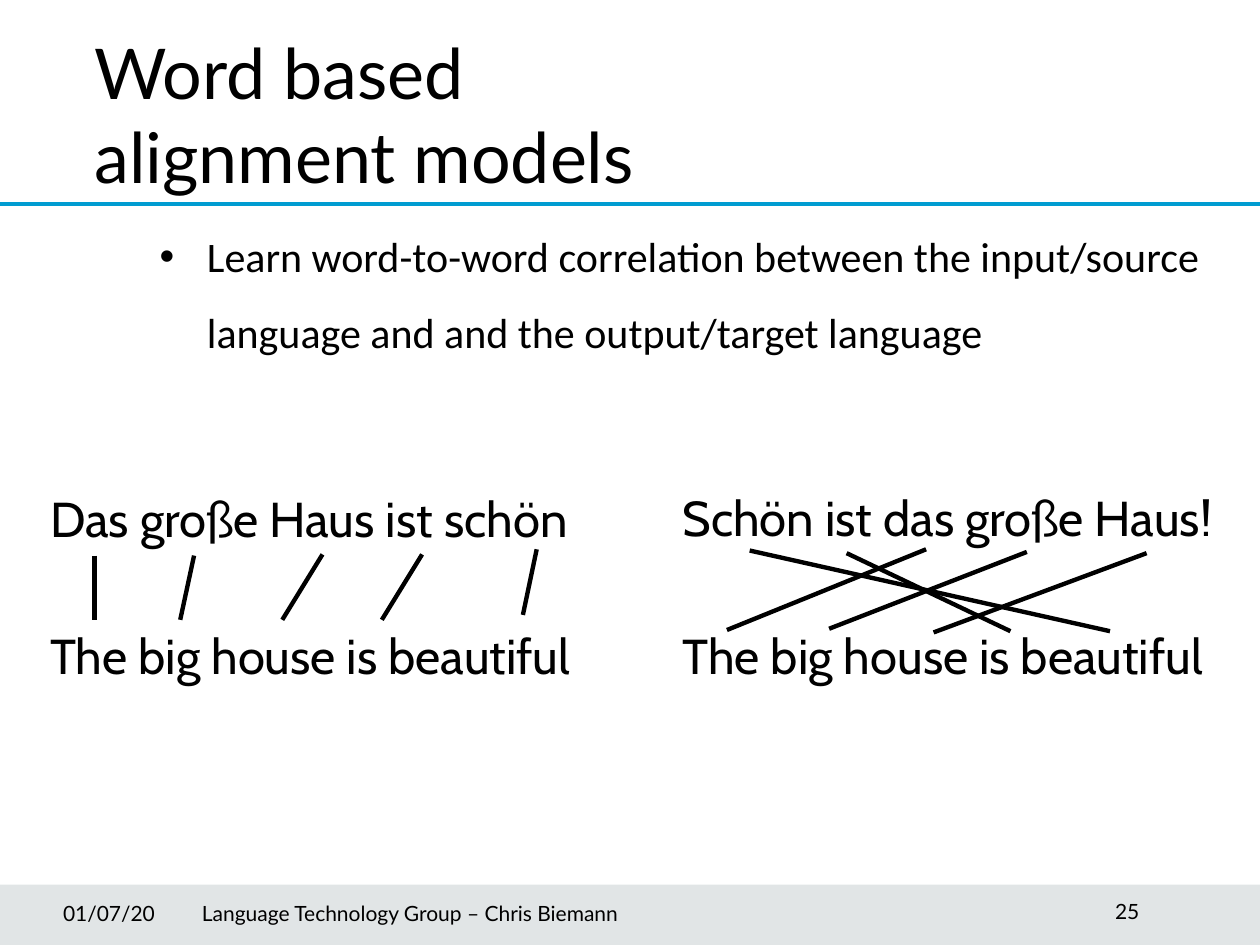
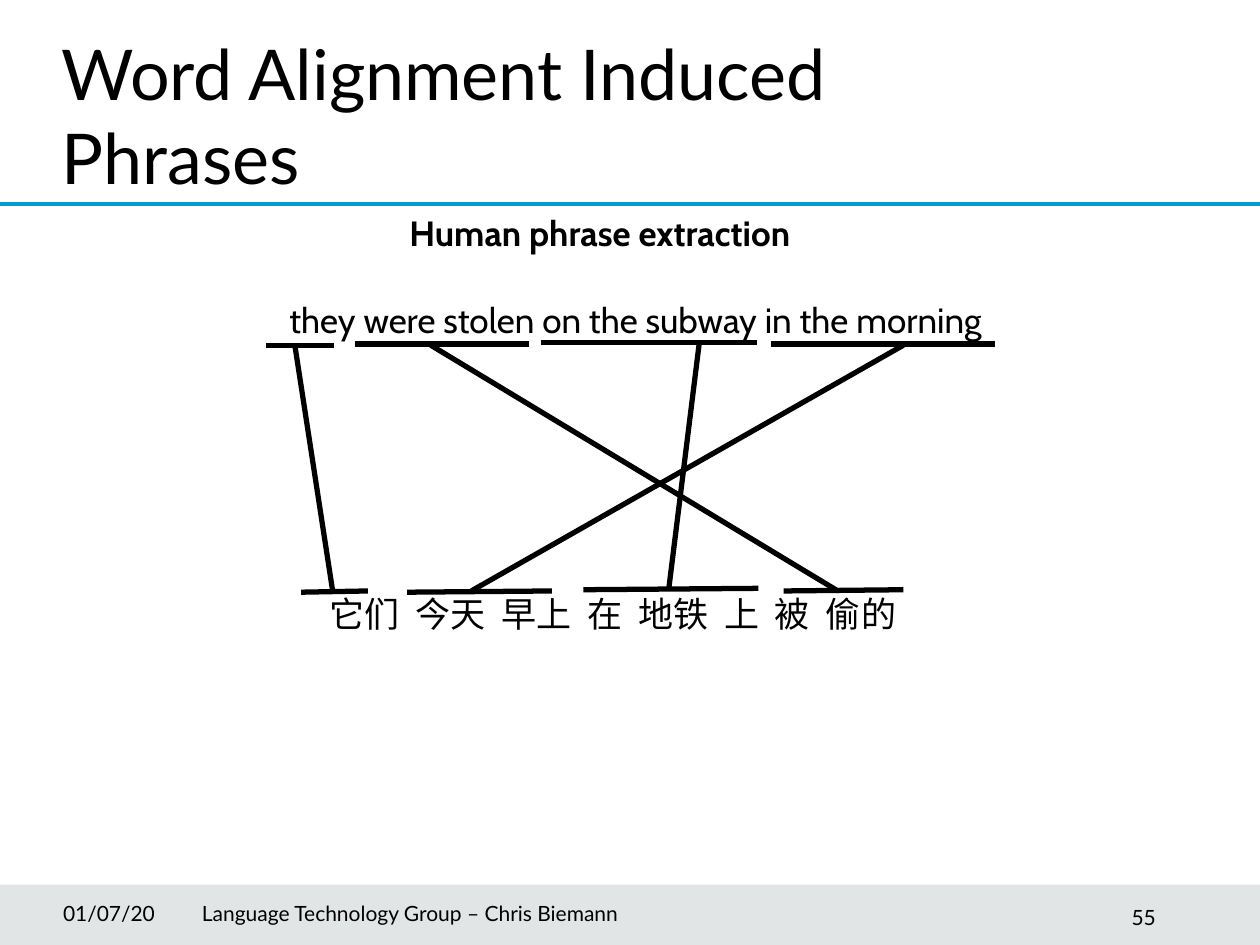
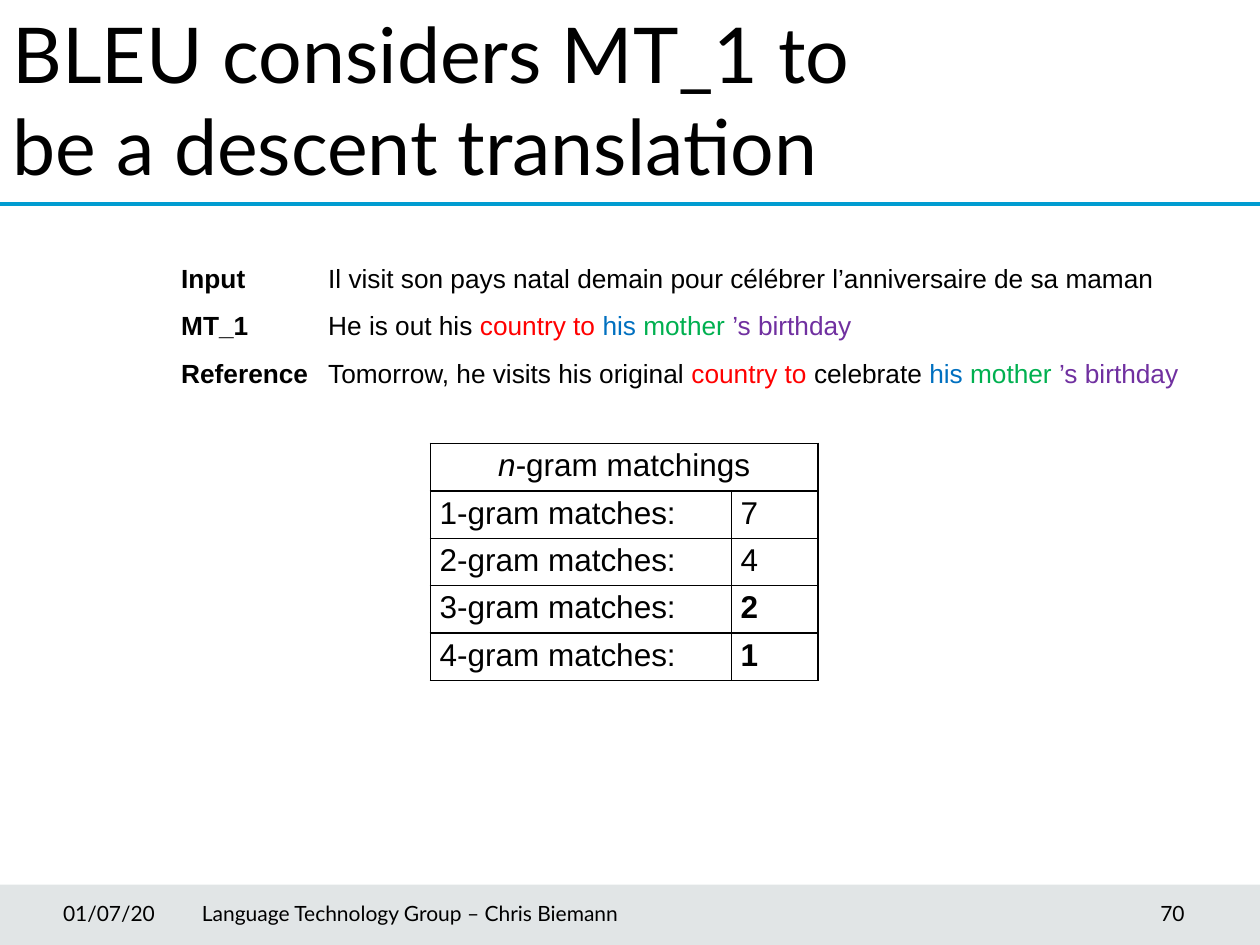
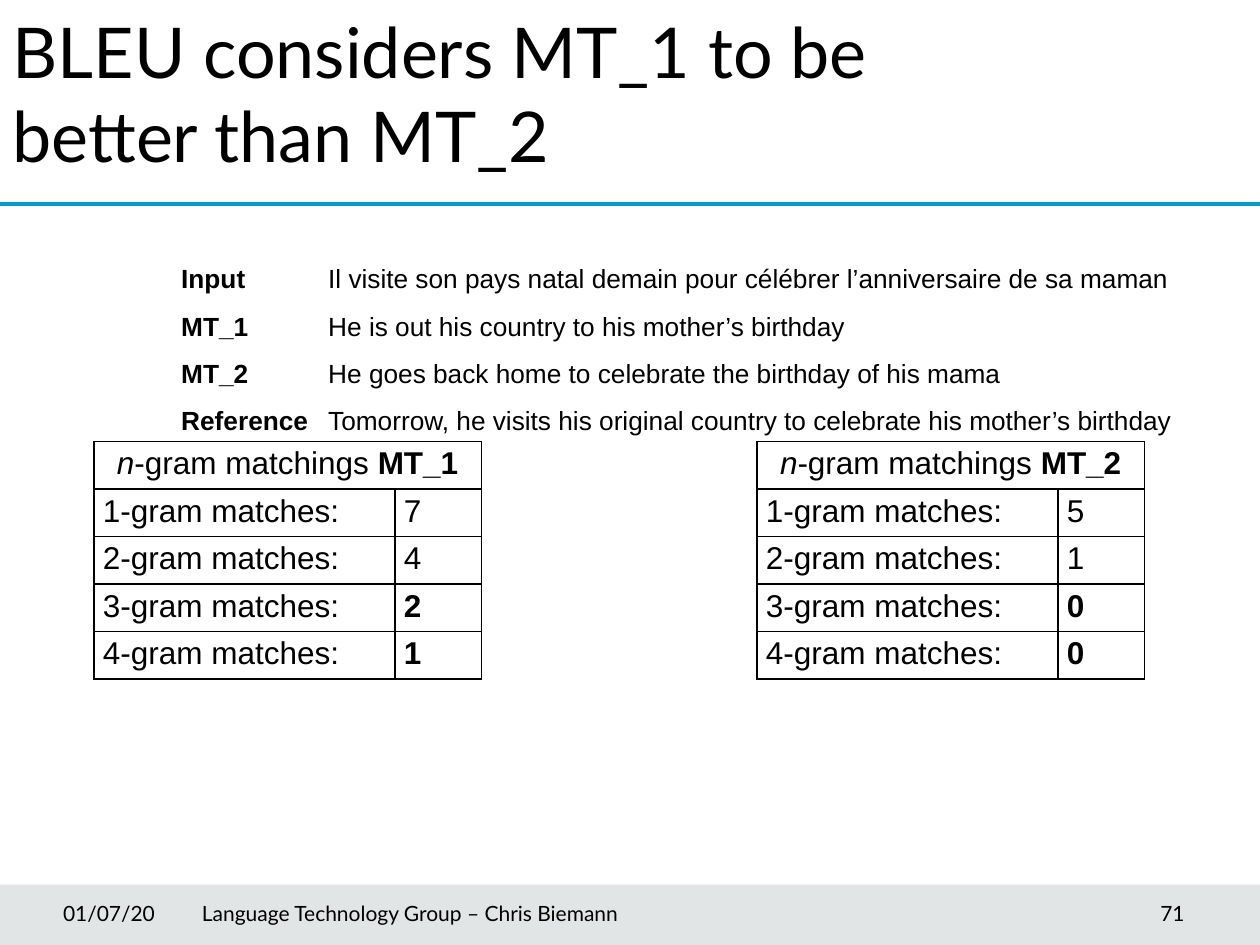
from itertools import accumulate
from typing import NamedTuple

from lxml import etree
from pptx import Presentation
from pptx.dml.color import RGBColor
from pptx.enum.shapes import MSO_CONNECTOR, MSO_SHAPE
from pptx.enum.text import MSO_ANCHOR, MSO_AUTO_SIZE, PP_ALIGN
from pptx.oxml.ns import qn
from pptx.util import Pt

HUES = {
    "ink": "000000", "paper": "FFFFFF", "band": "3B515B", "rule": "009CD1",
    "red": "FF0000", "blue": "0070C0", "green": "00B050", "plum": "7030A0",
}


class Box(NamedTuple):
    left: float
    top: float
    width: float
    height: float


class Line(NamedTuple):
    x1: float
    y1: float
    x2: float
    y2: float


class Run(NamedTuple):
    text: str
    hue: str = ""
    bold: bool = False
    slant: bool = False


class Style(NamedTuple):
    font: str
    size: float
    bold: bool = False
    align: PP_ALIGN = PP_ALIGN.LEFT


class Label(NamedTuple):
    text: str
    box: Box
    style: Style


class Grid(NamedTuple):
    left: float
    top: float
    head: list
    counts: tuple


class Page(NamedTuple):
    title: str
    box: Box
    size: float
    number: str
    spot: Box
    align: PP_ALIGN = PP_ALIGN.LEFT


FOOT = Style("Lato", 12)
WORDS = Style("Cabin", 28)
PHRASE = Style("Cabin", 20)
RIGHT_SPOT = Box(574.6, 507.6, 109.4, 28.8)

PAGES = [
    Page("Word based\valignment models", Box(46.8, 13, 613.4, 90), 40,
         "25", Box(637.2, 509.8, 36.7, 21.6)),
    Page("Word Alignment Induced Phrases", Box(28.1, 13.7, 541.4, 66.2), 40,
         "55", Box(646.6, 507.6, 31.7, 32.4)),
    Page("BLEU considers MT_1 to be a descent translation",
         Box(0, 0, 540, 52.6), 44, "70", RIGHT_SPOT, PP_ALIGN.RIGHT),
    Page("BLEU considers MT_1 to be better than MT_2",
         Box(0, 1.4, 509.8, 52.6), 40, "71", RIGHT_SPOT, PP_ALIGN.RIGHT),
]

PAIRS = [
    Label("Das große Haus ist schön", Box(21.6, 275.8, 332, 41), WORDS),
    Label("The big house is beautiful", Box(21.6, 354.2, 332, 41), WORDS),
    Label("Schön ist das große Haus!", Box(383, 275, 332, 41), WORDS),
    Label("The big house is beautiful", Box(383, 354.2, 332, 41), WORDS),
]
PAIR_LINKS = [
    Line(54, 317.5, 54, 354.2),
    Line(110.9, 317.5, 103, 354.2),
    Line(184.3, 316.8, 161.3, 354.2),
    Line(241.2, 316.8, 218.2, 354.2),
    Line(306.7, 313.9, 298.8, 351.4),
    Line(428.4, 314.6, 634.3, 360.7),
    Line(483.8, 316.1, 577.4, 360.7),
    Line(586.8, 315.4, 473.8, 359.3),
    Line(529.2, 313.9, 415.4, 360),
    Line(655.2, 316.1, 533.5, 361.4),
]
PHRASE_LINKS = [
    Line(168.5, 197.3, 190.1, 337.7),
    Line(516.2, 197.3, 269.3, 337.7),
    Line(399.6, 195.8, 382.3, 335.5),
    Line(246.2, 197.3, 478.8, 337.7),
]
PHRASE_BARS = [
    Line(151.9, 197.3, 190.8, 197.3),
    Line(172.1, 338.4, 210.2, 337.7),
    Line(232.6, 338.4, 315.4, 337.7),
    Line(333.4, 337, 433.4, 336.2),
    Line(447.8, 337.7, 516.2, 337),
    Line(203, 196.6, 256.3, 196.6),
    Line(249.8, 196.6, 302.4, 196.6),
    Line(308.9, 195.8, 432.7, 195.8),
    Line(440.6, 196.6, 468, 196.6),
    Line(465.8, 196.6, 501.8, 196.6),
    Line(491.8, 196.6, 568.8, 196.6),
]
HANZI = ["它们", "今天", "早上", "在", "地铁", "上", "被", "偷的"]

TAIL = [Run("his ", "blue"), Run("mother ", "green"), Run("’s birthday", "plum")]
FIRST = [
    [Run("Input\t", bold=True),
     Run("Il visit son pays natal demain pour célébrer l’anniversaire de sa maman")],
    [Run("MT_1\t", bold=True), Run("He is out his "), Run("country to ", "red"), *TAIL],
    [Run("Reference\t", bold=True), Run("Tomorrow, he visits his original "),
     Run("country to ", "red"), Run("celebrate "), *TAIL],
]
SECOND = [
    [Run(name + "\t", bold=True), Run(text)] for name, text in (
        ("Input", "Il visite son pays natal demain pour célébrer l’anniversaire de sa maman"),
        ("MT_1", "He is out his country to his mother’s birthday"),
        ("MT_2", "He goes back home to celebrate the birthday of his mama"),
        ("Reference", "Tomorrow, he visits his original country to celebrate his mother’s birthday"),
    )
]


def tint(hue: str) -> RGBColor:
    return RGBColor.from_string(HUES[hue])


def place(box: Box) -> list:
    return [Pt(v) for v in box]


def write(para, text, style: Style) -> None:
    if isinstance(text, str):
        para.text = text
    else:
        for part in text:
            run = para.add_run()
            run.text = part.text
            if part.hue:
                run.font.color.rgb = tint(part.hue)
            if part.bold:
                run.font.bold = True
            if part.slant:
                run.font.italic = True
    para.alignment = style.align
    font = para.font
    font.name, font.size, font.bold = style.font, Pt(style.size), style.bold
    font.color.rgb = tint("ink")


def add_tabs(para, stops) -> None:
    tabs = etree.SubElement(para._p.get_or_add_pPr(), qn("a:tabLst"))
    for stop in stops:
        etree.SubElement(tabs, qn("a:tab"), pos=str(int(Pt(stop))), algn="l")


def add_frame(slide, box: Box):
    shape = slide.shapes.add_textbox(*place(box))
    shape.text_frame.word_wrap = True
    return shape


def add_label(slide, label: Label):
    shape = add_frame(slide, label.box)
    write(shape.text_frame.paragraphs[0], label.text, label.style)
    return shape


def add_line(slide, line: Line, width: float, hue: str = "ink"):
    shape = slide.shapes.add_connector(MSO_CONNECTOR.STRAIGHT, *place(line))
    shape.line.color.rgb = tint(hue)
    shape.line.width = Pt(width)
    etree.SubElement(shape._element.spPr, qn("a:effectLst"))
    return shape


def add_links(slide, lines: list, width: float) -> None:
    for line in lines:
        add_line(slide, line, width)


def dress(layout, slide) -> None:
    band = slide.shapes.add_shape(MSO_SHAPE.RECTANGLE, *place(Box(0, 505.5, 720, 34.5)))
    band.shadow.inherit = False
    band.line.fill.background()
    band.fill.solid()
    band.fill.fore_color.rgb = tint("band")
    color = band._element.spPr.find(".//" + qn("a:srgbClr"))
    etree.SubElement(color, qn("a:alpha"), val="15000")
    rule = add_line(slide, Line(0, 116.6, 720, 116.6), 2, "rule")
    for spot, shape in enumerate((band, rule)):
        shape.element.xpath(".//p:cNvPr")[0].set("id", str(90 + spot))
        layout.shapes.element.insert(2 + spot, shape.element)


def add_foot(slide, label: Label) -> None:
    frame = add_label(slide, label).text_frame
    frame.vertical_anchor = MSO_ANCHOR.MIDDLE
    if label.style.align == PP_ALIGN.LEFT:
        frame.margin_left = 0


def start(slide, page: Page) -> None:
    title = slide.shapes.title
    title.left, title.top, title.width, title.height = place(page.box)
    frame = title.text_frame
    frame.word_wrap = True
    frame.auto_size = MSO_AUTO_SIZE.NONE
    frame.vertical_anchor = MSO_ANCHOR.TOP
    write(frame.paragraphs[0], page.title, Style("Lato", page.size))
    for label in (
        Label(page.number, page.spot, FOOT._replace(align=page.align)),
        Label("01/07/20", Box(36, 507.6, 71.3, 28.8), FOOT),
        Label("Language Technology Group – Chris Biemann",
              Box(115.4, 507.6, 354, 28.8), FOOT),
    ):
        add_foot(slide, label)


def add_lines(slide, box: Box, rows: list) -> None:
    frame = add_frame(slide, box).text_frame
    for spot, row in enumerate(rows):
        para = frame.add_paragraph() if spot else frame.paragraphs[0]
        add_tabs(para, [84])
        para.line_spacing = 1.5
        write(para, row, Style("Arial", 15))


def edge(cell) -> None:
    props = cell._tc.get_or_add_tcPr()
    for spot, side in enumerate(("lnL", "lnR", "lnT", "lnB")):
        line = etree.Element(qn("a:" + side), w=str(int(Pt(1))))
        fill = etree.SubElement(line, qn("a:solidFill"))
        etree.SubElement(fill, qn("a:srgbClr"), val=HUES["ink"])
        props.insert(spot, line)


def add_grid(slide, grid: Grid) -> None:
    count = len(grid.counts) + 1
    box = Box(grid.left, grid.top, 221.5, 27.1 * count)
    table = slide.shapes.add_table(count, 2, *place(box)).table
    table.first_row = table.horz_banding = False
    for col, width in zip(table.columns, (172, 49.5)):
        col.width = Pt(width)
    for row in table.rows:
        row.height = Pt(27.1)
    table.cell(0, 0).merge(table.cell(0, 1))
    for cell in table.iter_cells():
        cell.fill.background()
        edge(cell)
        cell.margin_left = cell.margin_right = Pt(5.2)
        cell.margin_top = cell.margin_bottom = Pt(2.7)
    style = Style("Arial", 18)
    write(table.cell(0, 0).text_frame.paragraphs[0], grid.head,
          style._replace(align=PP_ALIGN.CENTER))
    for size, value in enumerate(grid.counts, 1):
        write(table.cell(size, 0).text_frame.paragraphs[0], f"{size}-gram matches:", style)
        write(table.cell(size, 1).text_frame.paragraphs[0], str(value),
              style._replace(bold=size > 2))


def draw_words(slide) -> None:
    para = add_frame(slide, Box(84.2, 113.8, 612, 324)).text_frame.paragraphs[0]
    props = para._p.get_or_add_pPr()
    props.set("marL", str(int(Pt(27))))
    props.set("indent", str(int(Pt(-27))))
    etree.SubElement(props, qn("a:buFont"), typeface="Arial")
    etree.SubElement(props, qn("a:buChar"), char="•")
    para.line_spacing = 1.5
    write(para, "Learn word-to-word correlation between the input/source language "
          "and and the output/target language", Style("Calibri", 24))
    for label in PAIRS:
        add_label(slide, label)
    add_links(slide, PAIR_LINKS, 2.5)


def draw_phrase(slide) -> None:
    top = add_label(slide, Label("they were stolen on the subway in the morning",
                                 Box(139, 167, 448.6, 31.7),
                                 PHRASE._replace(align=PP_ALIGN.CENTER)))
    low = add_frame(slide, Box(164.2, 334.8, 378, 31.7))
    low.text_frame.margin_left = Pt(23.8)
    para = low.text_frame.paragraphs[0]
    add_tabs(para, accumulate(PHRASE.size * len(word) + 9.14 for word in HANZI[:-1]))
    write(para, "\t".join(HANZI), PHRASE)
    for shape in (top, low):
        shape.fill.solid()
        shape.fill.fore_color.rgb = tint("paper")
    add_links(slide, PHRASE_LINKS + PHRASE_BARS, 3)
    add_label(slide, Label("Human phrase extraction", Box(226.8, 117.4, 271.4, 31.7),
                           PHRASE._replace(bold=True)))


def draw_first(slide) -> None:
    add_lines(slide, Box(96.5, 137.5, 592, 89.3), FIRST)
    head = [Run("n", slant=True), Run("-gram matchings")]
    add_grid(slide, Grid(246, 253.4, head, (7, 4, 2, 1)))


def draw_second(slide) -> None:
    for name, left, counts in (("MT_1", 53.6, (7, 4, 2, 1)), ("MT_2", 432.5, (5, 1, 0, 0))):
        head = [Run("n", slant=True), Run("-gram matchings "), Run(name, bold=True)]
        add_grid(slide, Grid(left, 252.4, head, counts))
    add_lines(slide, Box(96.5, 137.5, 590, 116.6), SECOND)


def main() -> None:
    deck = Presentation()
    deck.slide_width, deck.slide_height = Pt(720), Pt(540)
    layout = deck.slide_layouts[5]
    slides = [deck.slides.add_slide(layout) for page in PAGES]
    dress(layout, slides[0])
    draws = (draw_words, draw_phrase, draw_first, draw_second)
    for slide, page, draw in zip(slides, PAGES, draws):
        start(slide, page)
        draw(slide)
    deck.save("out.pptx")


if __name__ == "__main__":
    main()
